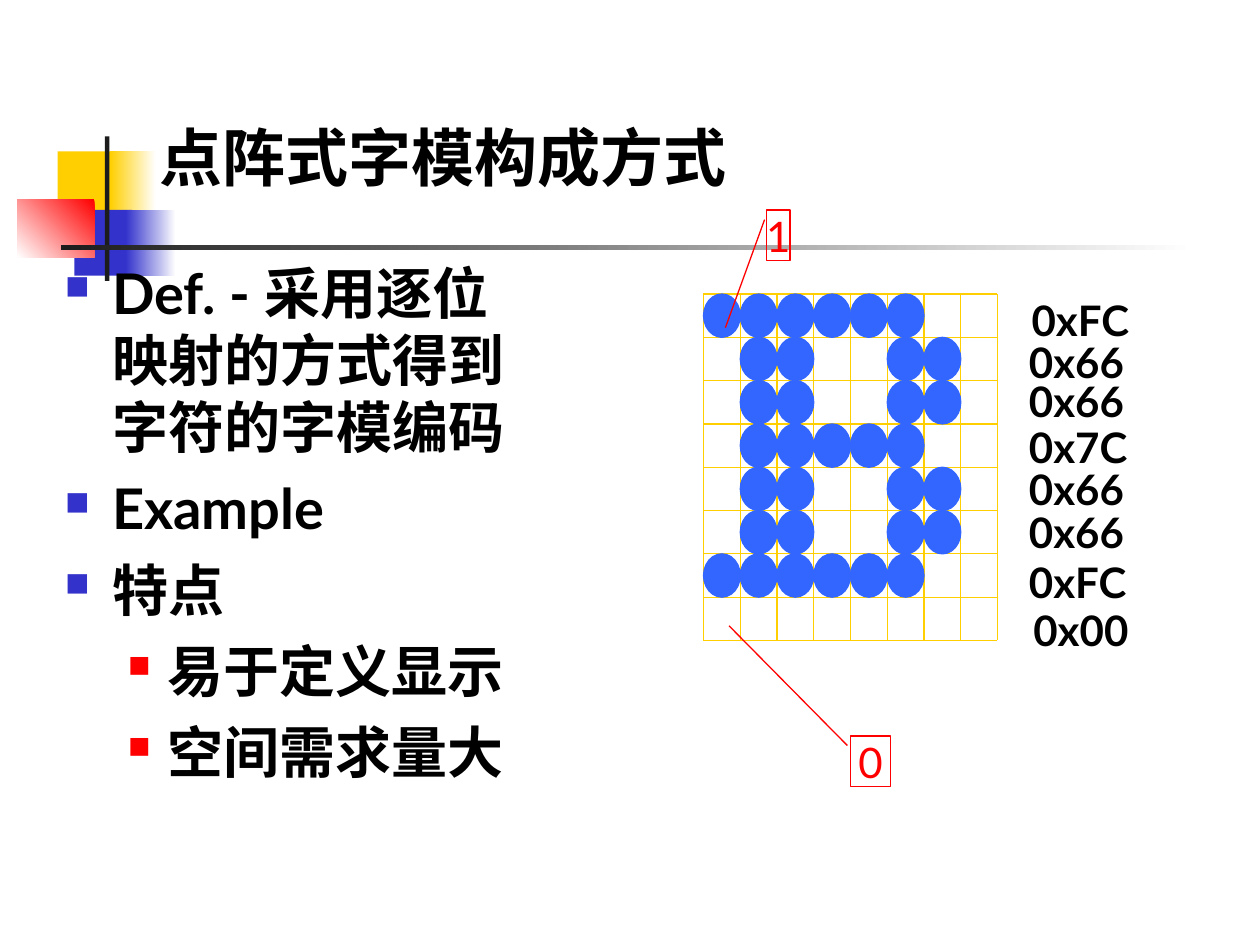
import pptx
import pptx.util
import pptx.dml.color
import pptx.enum.shapes
import pptx.enum.text
import pptx.oxml
import pptx.oxml.ns
from pptx.enum.shapes import MSO_SHAPE
from pptx.enum.text import MSO_ANCHOR, PP_ALIGN

Pt = pptx.util.Pt
FONT = "Lato"
COLORS = {
    "white": "FFFFFF", "black": "000000", "ink": "1C1C1C", "yellow": "FFCF01",
    "navy": "3333CC", "red": "FF0000", "dot": "3366FF",
}
GLYPH_ROWS = [
    ("0xFC", 1.5, 0), ("0x66", 0, 24), ("0x66", 0, 46.5), ("0x7C", 0, 73),
    ("0x66", 0, 97), ("0x66", 0, 121.5), ("0xFC", 0, 150), ("0x00", 2.5, 177.5),
]
BULLETS = [
    ("Def. - 采用逐位映射的方式得到字符的字模编码", 0), ("Example", 0), ("特点", 0),
    ("易于定义显示", 1), ("空间需求量大", 1),
]
BULLET_LEVELS = [(27, 27, "navy", 60), (58.5, 22.5, "red", 55)]


def rgb(name):
    """Return the named colour as an RGBColor."""
    return pptx.dml.color.RGBColor.from_string(COLORS[name])


def add_run(p, text, size, color="black", bold=True):
    """Add one styled run to a paragraph."""
    r = p.add_run()
    r.text = text
    r.font.name = FONT
    r.font.size = Pt(size)
    r.font.bold = bold
    r.font.color.rgb = rgb(color)


def set_frame(sp, inset_x=0, inset_y=0, anchor=MSO_ANCHOR.MIDDLE, wrap=True):
    """Set the insets, anchor and wrapping of a shape and return its text frame."""
    tf = sp.text_frame
    tf.margin_left = tf.margin_right = Pt(inset_x)
    tf.margin_top = tf.margin_bottom = Pt(inset_y)
    tf.vertical_anchor = anchor
    tf.word_wrap = wrap
    return tf


def add_block(s, kind, x, y, w, h, color, line=None):
    """Add a solid preset shape with an optional outline."""
    sp = s.shapes.add_shape(kind, Pt(x), Pt(y), Pt(w), Pt(h))
    sp.shadow.inherit = False
    if color:
        sp.fill.solid()
        sp.fill.fore_color.rgb = rgb(color)
    else:
        sp.fill.background()
    if line:
        sp.line.color.rgb = rgb(line)
        sp.line.width = Pt(0.75)
    else:
        sp.line.fill.background()
    return sp


def add_fade(s, x, y, w, h, color, angle=0):
    """Add a rectangle that fades from a colour to white."""
    sp = add_block(s, MSO_SHAPE.RECTANGLE, x, y, w, h, color)
    sp.fill.gradient()
    sp.fill.gradient_angle = angle
    for stop, name, position in zip(sp.fill.gradient_stops, (color, "white"), (0, 1)):
        stop.color.rgb = rgb(name)
        stop.position = position


def add_line(s, x1, y1, x2, y2):
    """Add a thin grid line."""
    ln = s.shapes.add_connector(
        pptx.enum.shapes.MSO_CONNECTOR.STRAIGHT, Pt(x1), Pt(y1), Pt(x2), Pt(y2))
    ln.line.color.rgb = rgb("yellow")
    ln.line.width = Pt(0.75)
    ln._element.spPr.append(pptx.oxml.parse_xml(
        "<a:effectLst %s/>" % pptx.oxml.ns.nsdecls("a")))


def add_ornament(s, x, y):
    """Draw the coloured squares and the crossing rules."""
    add_block(s, MSO_SHAPE.RECTANGLE, x + 23, y + 8.5, 34.5, 37.5, "yellow")
    add_fade(s, x + 53, y + 8.5, 26, 37.5, "yellow")
    add_block(s, MSO_SHAPE.RECTANGLE, x + 32.5, y + 42, 33, 37.5, "navy")
    add_fade(s, x + 62, y + 42, 28.5, 37.5, "navy")
    add_fade(s, x, y + 36, 44, 33, "red", 225)
    add_block(s, MSO_SHAPE.RECTANGLE, x + 50, y, 2.5, 82.5, "ink")
    add_fade(s, x + 25, y + 62.3, 648, 2.5, "ink")


def add_title(s, x, y, w, h):
    """Place the slide title at the foot of its box."""
    sp = s.shapes.add_textbox(Pt(x), Pt(y), Pt(w), Pt(h))
    tf = set_frame(sp, 7.2, 3.6, MSO_ANCHOR.BOTTOM)
    add_run(tf.paragraphs[0], "点阵式字模构成方式", 36)


def add_bullets(s, x, y, w, h):
    """Place the two-level bullet list."""
    sp = s.shapes.add_textbox(Pt(x), Pt(y), Pt(w), Pt(h))
    tf = set_frame(sp, 7.2, 3.6, MSO_ANCHOR.TOP)
    for i, (text, level) in enumerate(BULLETS):
        p = tf.add_paragraph() if i else tf.paragraphs[0]
        left, hang, color, size = BULLET_LEVELS[level]
        p.level = level
        if i:
            p.space_before = Pt(8)
        pPr = p._p.get_or_add_pPr()
        pPr.set("marL", str(Pt(left)))
        pPr.set("indent", str(-Pt(hang)))
        for xml in (
            '<a:buClr %%s><a:srgbClr val="%s"/></a:buClr>' % COLORS[color],
            '<a:buSzPct %%s val="%d"/>' % (size * 1000),
            '<a:buChar %s char="■"/>',
        ):
            pPr.append(pptx.oxml.parse_xml(xml % pptx.oxml.ns.nsdecls("a")))
        add_run(p, text, 32)


def add_glyph(s, x, y, w, h):
    """Draw the grid and the dots given by the bits of each row code."""
    n = len(GLYPH_ROWS)
    dx, dy = w / n, h / n
    for i in range(n + 1):
        add_line(s, x, y + i * dy, x + w, y + i * dy)
        add_line(s, x + i * dx, y, x + i * dx, y + h)
    for row, (code, _, _) in enumerate(GLYPH_ROWS):
        for col, bit in enumerate(format(int(code, 16), "08b")):
            if bit == "1":
                add_block(s, MSO_SHAPE.OVAL, x + col * dx, y + row * dy,
                          dx, dy, "dot", "dot")


def add_codes(s, x, y, w, h):
    """Place the row codes beside the grid."""
    for code, left, top in GLYPH_ROWS:
        sp = s.shapes.add_textbox(Pt(x + left), Pt(y + top), Pt(w), Pt(h))
        add_run(set_frame(sp).paragraphs[0], code, 24)


def add_callout(s, x, y, w, h, text, adjustments, wrap):
    """Add a red callout whose leader points at a grid cell."""
    sp = add_block(s, MSO_SHAPE.LINE_CALLOUT_1, x, y, w, h, None, "red")
    for i, value in enumerate(adjustments):
        sp.adjustments[i] = value
    p = set_frame(sp, wrap=wrap).paragraphs[0]
    p.alignment = PP_ALIGN.CENTER
    add_run(p, text, 24, "red", False)


def main():
    """Build the slide and save it."""
    prs = pptx.Presentation()
    prs.slide_width, prs.slide_height = Pt(720), Pt(540)
    s = prs.slides.add_slide(prs.slide_layouts[6])
    add_ornament(s, 10, 78)
    add_title(s, 84, 54, 414, 60.5)
    add_bullets(s, 30, 144, 282, 356)
    add_glyph(s, 402, 168, 168, 198)
    add_callout(s, 438, 120, 13.5, 29, "1", (0.19, -0.08, 2.32, -1.74), False)
    add_callout(s, 486, 420.5, 23, 29, "0", (0.19, -0.08, -2.17, -3.02), True)
    add_codes(s, 588, 168, 66, 29)
    prs.save("out.pptx")


if __name__ == "__main__":
    main()
